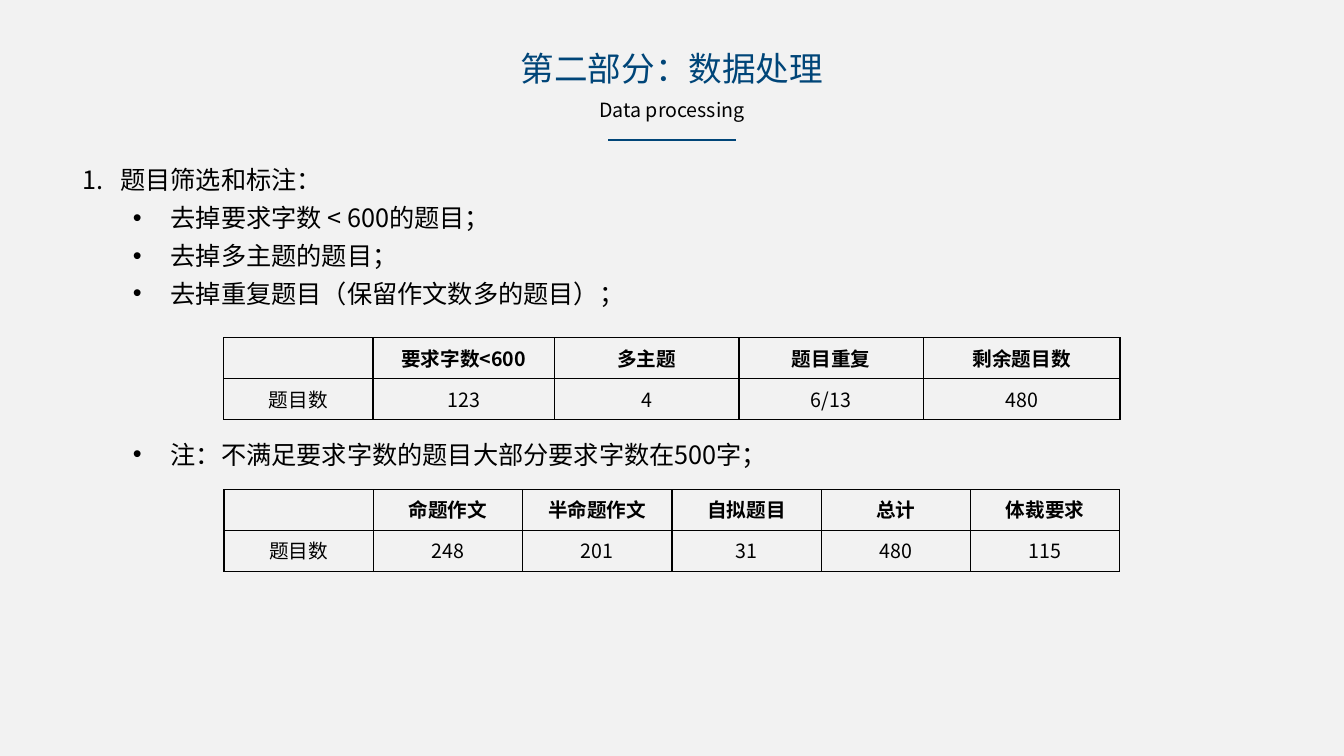
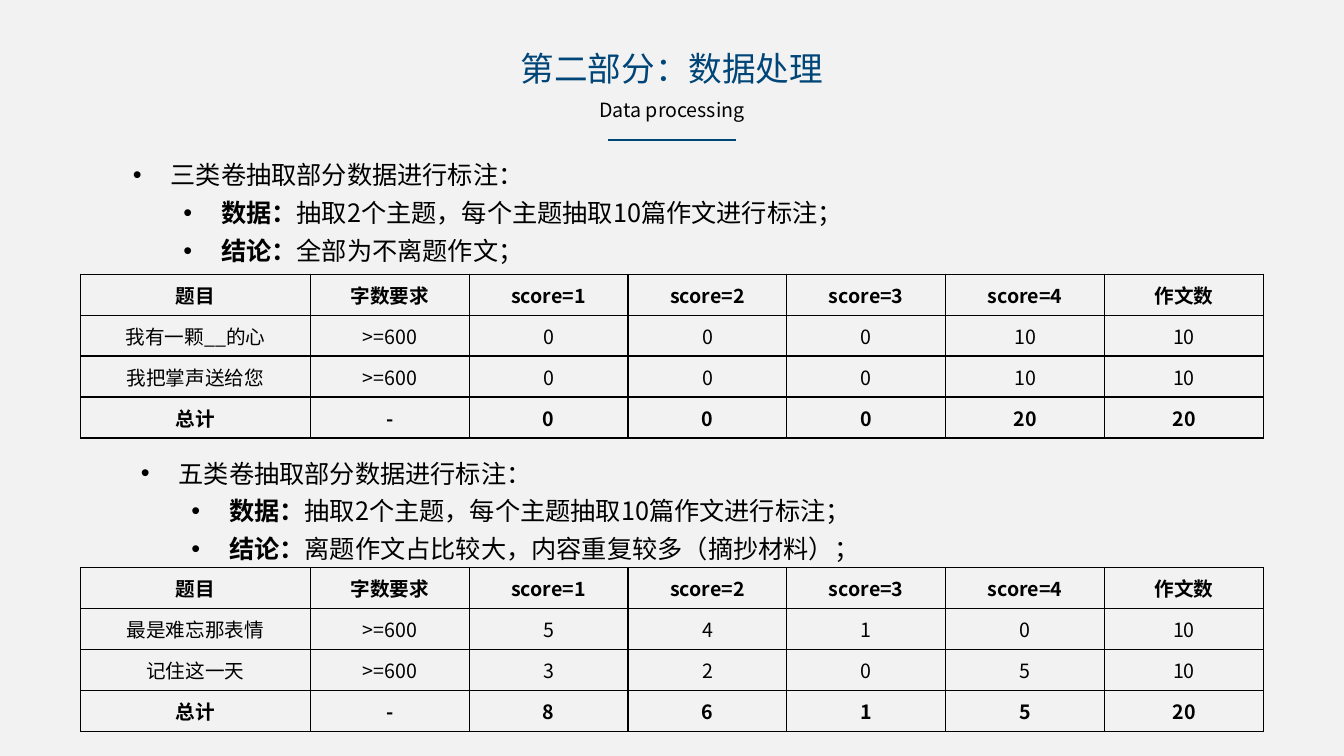
from lxml.etree import SubElement
from pptx import Presentation
from pptx.dml.color import RGBColor
from pptx.enum.shapes import MSO_CONNECTOR as CONNECTOR
from pptx.enum.text import MSO_ANCHOR as ANCHOR, MSO_AUTO_SIZE as AUTO_SIZE, PP_ALIGN as ALIGN
from pptx.oxml import parse_xml
from pptx.oxml.ns import nsdecls, qn
from pptx.util import Inches, Pt

FONT = "Noto Sans CJK SC"
NAVY, BLACK, PALE = "004578", "000000", "F2F2F2"
TITLE, SUBTITLE = "第二部分：数据处理", "Data processing"

presentation = Presentation()
presentation.slide_width, presentation.slide_height = Inches(13.33), Inches(7.5)
COLUMN = presentation.slide_width / 100
ROW = presentation.slide_height / 100
TABLE_ROW, TEXT_ROW = 5.42, 5.3
HANGING, LEVEL_STEP = 2.81, 3.75


def paint(fill, color):
    fill.solid()
    fill.fore_color.rgb = RGBColor.from_string(color)


def write(frame, text, lead="", size=18, color=BLACK, bold=False, align=None, level=0, bullet=None):
    paragraph = frame.paragraphs[0]
    if paragraph.runs:
        paragraph = frame.add_paragraph()
    paragraph.alignment = align
    paragraph.level = level
    if bullet:
        paragraph.line_spacing = 1.25
        properties = paragraph._p.get_or_add_pPr()
        properties.set("marL", str(round((HANGING + LEVEL_STEP * level) * COLUMN)))
        properties.set("indent", str(round(-HANGING * COLUMN)))
        if bullet == "•":
            SubElement(properties, qn("a:buFont"), typeface="Arial")
            SubElement(properties, qn("a:buChar"), char=bullet)
        else:
            SubElement(properties, qn("a:buFont"), typeface=FONT)
            SubElement(properties, qn("a:buAutoNum"), type=bullet)
    parts = [(lead, True), (text, bold)] if lead else [(text, bold)]
    for words, is_bold in parts:
        run = paragraph.add_run()
        run.text = words
        run.font.size = Pt(size)
        run.font.bold = is_bold
        run.font.name = FONT
        paint(run.font.fill, color)
        SubElement(run._r.get_or_add_rPr(), qn("a:ea"), typeface=FONT)


headings = [
    (TITLE, 40.6, 5.73, 6.67, {"size": 24, "color": NAVY}),
    (SUBTITLE, 52, 12.27, 4.53, {"size": 14}),
]

sample = (2, "数据：", "抽取2个主题，每个主题抽取10篇作文进行标注；")
score_header = ["题目", "字数要求", "score=1", "score=2", "score=3", "score=4", "作文数"]
score_widths = [17.1] + [11.82] * 6

pages = [
    {
        "texts": [
            (5.4, 20.13, [
                (0, "", "题目筛选和标注："),
                (1, "", "去掉要求字数 < 600的题目；"),
                (1, "", "去掉多主题的题目；"),
                (1, "", "去掉重复题目（保留作文数多的题目）；"),
            ]),
            (5.4, 56.4, [(1, "", "注：不满足要求字数的题目大部分要求字数在500字；")]),
        ],
        "tables": [
            (44.67, [11.1, 13.5, 13.73, 13.73, 14.63], ANCHOR.MIDDLE, [
                ["", "要求字数<600", "多主题", "题目重复", "剩余题目数"],
                ["题目数", "123", "4", "6/13", "480"],
            ]),
            (64.8, [11.11] * 6, ANCHOR.TOP, [
                ["", "命题作文", "半命题作文", "自拟题目", "总计", "体裁要求"],
                ["题目数", "248", "201", "31", "480", "115"],
            ]),
        ],
    },
    {
        "texts": [
            (5.4, 19.47, [
                (1, "", "三类卷抽取部分数据进行标注："),
                sample,
                (2, "结论：", "全部为不离题作文；"),
            ]),
            (6, 58.93, [
                (1, "", "五类卷抽取部分数据进行标注："),
                sample,
                (2, "结论：", "离题作文占比较大，内容重复较多（摘抄材料）；"),
            ]),
        ],
        "tables": [
            (36.27, score_widths, ANCHOR.MIDDLE, [
                score_header,
                ["我有一颗__的心", ">=600", "0", "0", "0", "10", "10"],
                ["我把掌声送给您", ">=600", "0", "0", "0", "10", "10"],
                ["总计", "-", "0", "0", "0", "20", "20"],
            ]),
            (75.07, score_widths, ANCHOR.MIDDLE, [
                score_header,
                ["最是难忘那表情", ">=600", "5", "4", "1", "0", "10"],
                ["记住这一天", ">=600", "3", "2", "0", "5", "10"],
                ["总计", "-", "8", "6", "1", "5", "20"],
            ]),
        ],
    },
]

paint(presentation.slide_master.background.fill, PALE)

for page in pages:
    slide = presentation.slides.add_slide(presentation.slide_layouts[6])

    boxes = [((100 - width) / 2, top, width, height, [(text, {"align": ALIGN.CENTER, **style})])
             for text, width, top, height, style in headings]
    for left, top, items in page["texts"]:
        lines = [(text, {"lead": lead, "level": level, "bullet": "•" if level else "arabicPeriod"})
                 for level, lead, text in items]
        boxes.append((left, top, 89.1, TEXT_ROW * len(items), lines))

    for left, top, width, height, lines in boxes:
        shape = slide.shapes.add_textbox(
            round(left * COLUMN), round(top * ROW), round(width * COLUMN), round(height * ROW))
        shape.text_frame.word_wrap = True
        shape.text_frame.auto_size = AUTO_SIZE.SHAPE_TO_FIT_TEXT
        for text, style in lines:
            write(shape.text_frame, text, **style)

    rule_y = round(18.53 * ROW)
    rule = slide.shapes.add_connector(
        CONNECTOR.STRAIGHT, round(45.25 * COLUMN), rule_y, round(54.75 * COLUMN), rule_y)
    rule.line.width = Pt(1.5)
    paint(rule.line.fill, NAVY)
    SubElement(rule._element.spPr, qn("a:effectLst"))

    for top, widths, anchor, rows in page["tables"]:
        total = sum(widths)
        table = slide.shapes.add_table(
            len(rows), len(widths), round((100 - total) / 2 * COLUMN), round(top * ROW),
            round(total * COLUMN), round(TABLE_ROW * len(rows) * ROW)).table
        table.first_row = table.horz_banding = False
        for column, width in zip(table.columns, widths):
            column.width = round(width * COLUMN)
        for row_index, values in enumerate(rows):
            table.rows[row_index].height = round(TABLE_ROW * ROW)
            bold = row_index == 0 or values[0] == "总计"
            for column_index, value in enumerate(values):
                cell = table.cell(row_index, column_index)
                cell.fill.background()
                cell.vertical_anchor = anchor
                write(cell.text_frame, value, size=14, bold=bold, align=ALIGN.CENTER)
                for position, side in enumerate("LRTB"):
                    cell._tc.get_or_add_tcPr().insert(position, parse_xml(
                        f'<a:ln{side} {nsdecls("a")} w="{Pt(1)}"><a:solidFill>'
                        f'<a:srgbClr val="{BLACK}"/></a:solidFill></a:ln{side}>'))

presentation.save("out.pptx")
